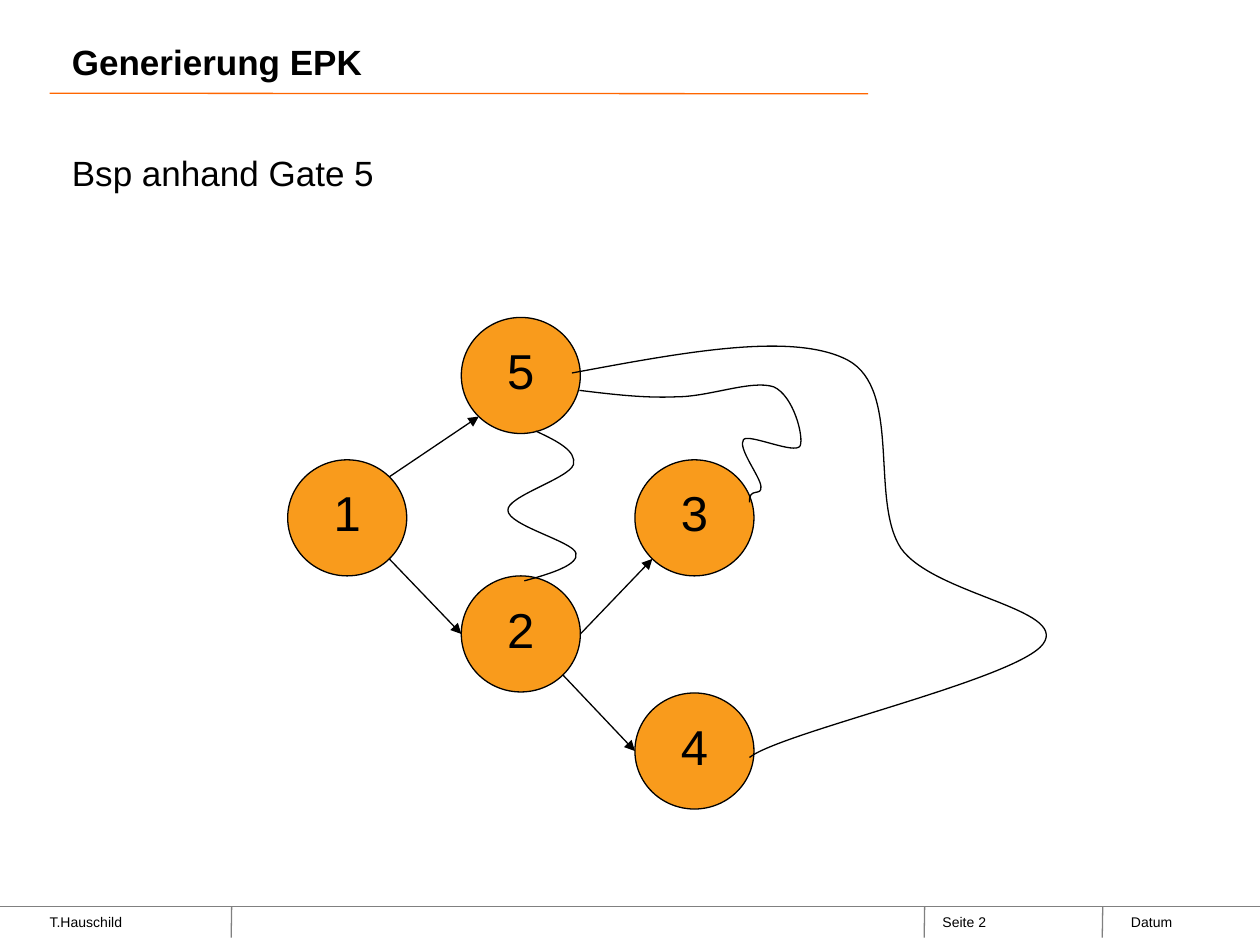
from dataclasses import dataclass

from lxml import etree
from pptx import Presentation
from pptx.dml.color import RGBColor
from pptx.enum.shapes import MSO_CONNECTOR, MSO_SHAPE
from pptx.enum.text import MSO_ANCHOR, PP_ALIGN
from pptx.oxml.ns import qn
from pptx.util import Cm, Pt

OVAL = MSO_SHAPE.OVAL
LINE = MSO_CONNECTOR.STRAIGHT
TOP, MIDDLE = MSO_ANCHOR.TOP, MSO_ANCHOR.MIDDLE
CENTER = PP_ALIGN.CENTER

COLORS = {"ink": "000000", "node": "F99B1C", "rule": "808080", "accent": "FF6600"}
NODE_W, NODE_H = 2.4, 2.34
DIAG = 0.5 ** 0.5

# Text formats: font values and frame values
SMALL = {"size": Pt(8), "bold": False}
PLAIN = {"size": Pt(20), "bold": False}
STRONG = {"size": Pt(20), "bold": True}
LARGE = {"size": Pt(28), "bold": False}
FOOT = {"margin_left": 0, "vertical_anchor": TOP}
BODY = {"vertical_anchor": TOP}
MID = {"vertical_anchor": MIDDLE}


@dataclass
class Label:
    text: str
    left: float
    top: float
    width: float
    height: float
    font: dict
    frame: dict
    before: float = 0


@dataclass
class Rule:
    start: tuple
    end: tuple
    color: str = "rule"


@dataclass
class Node:
    text: str
    left: float
    top: float

    def port(self, x: float, y: float) -> tuple:
        """Point on the rim; x and y run from -1 to 1."""
        return (self.left + NODE_W * (1 + x) / 2, self.top + NODE_H * (1 + y) / 2)


LABELS = [
    Label("T.Hauschild", 1, 18.29, 3, 0.61, SMALL, FOOT),
    Label("Seite 2", 19, 18.29, 2.79, 0.61, SMALL, FOOT),
    Label("Datum", 22.8, 18.29, 2.9, 0.61, SMALL, FOOT),
    Label("Generierung EPK", 1.2, 0.51, 16.41, 1.47, STRONG, MID),
    Label("Bsp anhand Gate 5", 1.2, 2.92, 22.91, 14.61, PLAIN, BODY, 2),
]

RULES = [
    Rule((0, 18.27), (25.4, 18.27)),
    Rule((18.64, 18.27), (18.63, 18.9)),
    Rule((4.67, 18.27), (4.66, 18.9)),
    Rule((22.23, 18.27), (22.22, 18.9)),
    Rule((1, 1.88), (17.5, 1.89), "accent"),
]

NODES = {
    1: Node("1", 5.8, 9.27),
    2: Node("2", 9.3, 11.61),
    3: Node("3", 12.8, 9.27),
    4: Node("4", 12.8, 13.97),
    5: Node("5", 9.3, 6.4),
}

# From node and side, to node and side
LEFT, RIGHT = (-1, 0), (1, 0)
LOW_LEFT, LOW_RIGHT, UP_RIGHT = (-DIAG, DIAG), (DIAG, DIAG), (DIAG, -DIAG)
ARROWS = [
    (1, LOW_RIGHT, 2, LEFT),
    (1, UP_RIGHT, 5, LOW_LEFT),
    (2, RIGHT, 3, LOW_LEFT),
    (2, LOW_RIGHT, 4, LEFT),
]

# Cubic curves: a start, then two handles and an end for each piece
CURVES = [
    [(11.53, 7.52), (13.74, 7.11), (15.98, 6.68), (17.09, 7.26),
     (18.19, 7.85), (17.53, 10.08), (18.16, 11.05),
     (18.82, 11.99), (21.54, 12.27), (21.03, 12.98),
     (20.52, 13.69), (15.75, 14.76), (15.11, 15.27)],
    [(10.8, 8.69), (11.23, 8.89), (11.63, 9.09), (11.56, 9.37),
     (11.46, 9.65), (10.21, 10.01), (10.24, 10.29),
     (10.24, 10.59), (11.56, 10.92), (11.61, 11.15),
     (11.68, 11.38), (11.13, 11.56), (10.57, 11.71)],
    [(11.68, 7.87), (12.34, 7.95), (13, 8.03), (13.64, 8),
     (14.3, 8), (15.16, 7.65), (15.6, 7.8),
     (16, 7.98), (16.21, 8.81), (16.13, 8.99),
     (16.03, 9.17), (15.11, 8.74), (14.99, 8.86),
     (14.86, 9.02), (15.32, 9.6), (15.34, 9.8),
     (15.37, 10.03), (15.09, 9.8), (15.11, 10.13)],
]


def tint(name: str) -> RGBColor:
    return RGBColor.from_string(COLORS[name])


def apply(target, values: dict) -> None:
    for key, value in values.items():
        setattr(target, key, value)


def stroke(item, color: str = "ink") -> None:
    item.line.color.rgb = tint(color)
    item.line.width = Pt(0.75)


def write(shape, text: str, font: dict, frame: dict):
    box = shape.text_frame
    apply(box, {"word_wrap": True, **frame})
    para = box.paragraphs[0]
    run = para.add_run()
    run.text = text
    apply(run.font, {"name": "Arial", **font})
    run.font.color.rgb = tint("ink")
    return para


def add_label(shapes, label: Label) -> None:
    box = shapes.add_textbox(Cm(label.left), Cm(label.top),
                             Cm(label.width), Cm(label.height))
    para = write(box, label.text, label.font, label.frame)
    para.space_before = Pt(label.before)


def add_line(shapes, start: tuple, end: tuple, color: str = "ink",
             arrow: bool = False) -> None:
    line = shapes.add_connector(LINE, *map(Cm, start + end))
    stroke(line, color)
    if arrow:
        etree.SubElement(line.line._get_or_add_ln(), qn("a:tailEnd"), type="triangle")
    etree.SubElement(line._element.spPr, qn("a:effectLst"))


def add_node(shapes, node: Node) -> None:
    oval = shapes.add_shape(OVAL, Cm(node.left), Cm(node.top), Cm(NODE_W), Cm(NODE_H))
    oval.shadow.inherit = False
    oval.fill.solid()
    oval.fill.fore_color.rgb = tint("node")
    stroke(oval)
    write(oval, node.text, LARGE, BODY).alignment = CENTER


def add_curve(shapes, points: list) -> None:
    spots = [(Cm(x), Cm(y)) for x, y in points]
    pen = shapes.build_freeform(*spots[0])
    pen.add_line_segments(spots[3::3], close=False)
    curve = pen.convert_to_shape()
    # Turn each straight piece into a cubic one
    for i, piece in enumerate(list(curve._element.iter(qn("a:lnTo")))):
        cubic = etree.Element(qn("a:cubicBezTo"))
        for x, y in spots[3 * i + 1:3 * i + 4]:
            etree.SubElement(cubic, qn("a:pt"),
                             x=str(x - curve.left), y=str(y - curve.top))
        piece.getparent().replace(piece, cubic)
    curve.shadow.inherit = False
    curve.fill.background()
    stroke(curve)


def main() -> None:
    deck = Presentation()
    apply(deck, {"slide_width": Cm(25.4), "slide_height": Cm(19.05)})
    shapes = deck.slides.add_slide(deck.slide_layouts[6]).shapes

    # Frame lines and text
    for rule in RULES:
        add_line(shapes, rule.start, rule.end, rule.color)
    for label in LABELS:
        add_label(shapes, label)

    # Graph
    for node in NODES.values():
        add_node(shapes, node)
    for tail, out, head, into in ARROWS:
        add_line(shapes, NODES[tail].port(*out), NODES[head].port(*into), arrow=True)
    for points in CURVES:
        add_curve(shapes, points)

    deck.save("out.pptx")


if __name__ == "__main__":
    main()
